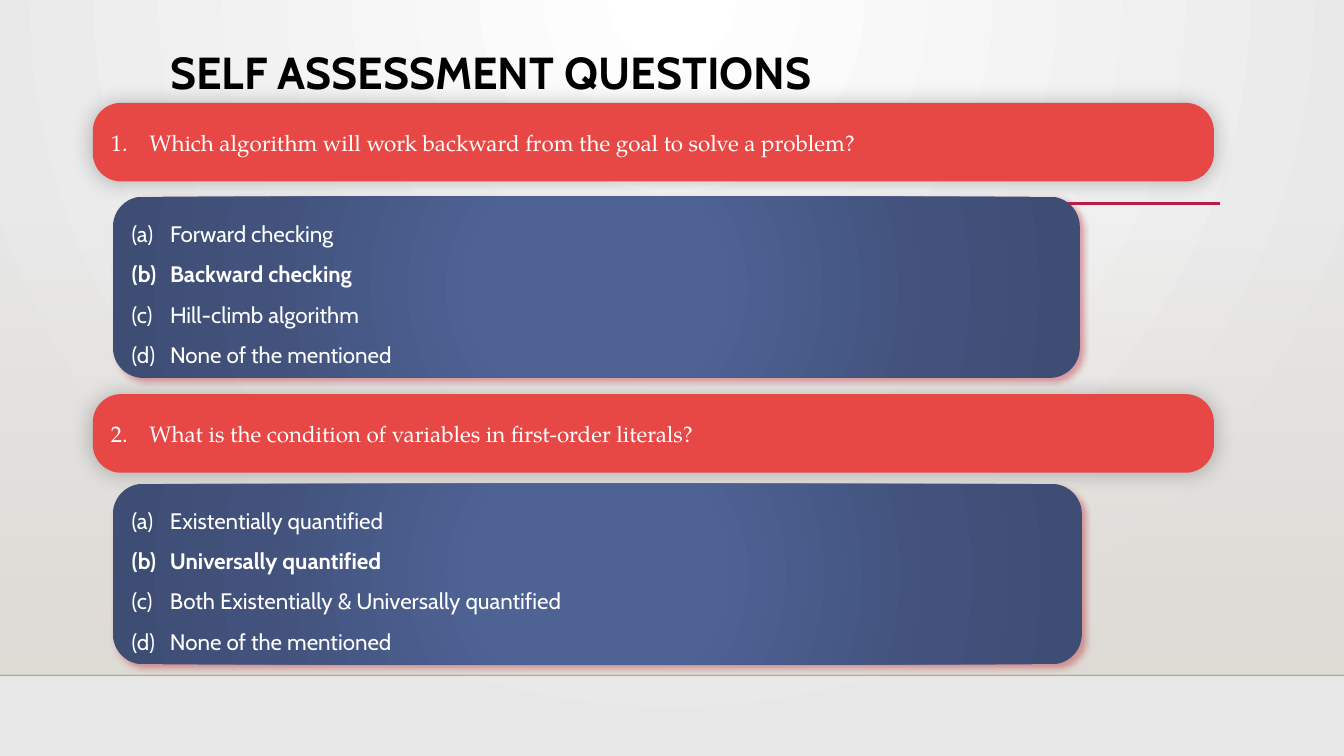
from dataclasses import dataclass

from pptx import Presentation
from pptx.dml.color import RGBColor
from pptx.enum.shapes import MSO_CONNECTOR, MSO_SHAPE
from pptx.enum.text import MSO_ANCHOR, MSO_AUTO_SIZE, PP_ALIGN
from pptx.oxml import parse_xml
from pptx.oxml.ns import nsdecls, qn
from pptx.util import Pt

PX = 9144  # 100 px to the inch
SLIDE_WIDTH, SLIDE_HEIGHT = 1333, 750
TITLE_ONLY = 5
STRAIGHT = MSO_CONNECTOR.STRAIGHT
RECTANGLE, ROUNDED = MSO_SHAPE.RECTANGLE, MSO_SHAPE.ROUNDED_RECTANGLE
TOP, MIDDLE, LEFT = MSO_ANCHOR.TOP, MSO_ANCHOR.MIDDLE, PP_ALIGN.LEFT
SANS, SERIF = "Cabin", "TeX Gyre Pagella"
COLORS = {
    "white": "FFFFFF", "black": "000000", "edge": "E7E7E7", "floor": "DFDBD5",
    "divider": "000001", "accent": "B71E42", "question": "E84845", "glow": "BA2532",
    "option_light": "4E6294", "option_mid": "42527C", "option_dark": "3E4D74",
}


@dataclass(frozen=True)
class Box:
    left: int
    top: int
    width: int
    height: int

    def emu(self) -> tuple[int, ...]:
        return tuple(value * PX for value in (self.left, self.top, self.width, self.height))


@dataclass(frozen=True)
class Stop:
    position: int
    color: str
    alpha: int = 100


@dataclass(frozen=True)
class Shadow:
    color: str
    alpha: int
    blur: int
    distance: int
    angle: int


@dataclass(frozen=True)
class Question:
    text: str
    box: Box
    options: tuple[str, ...]
    options_box: Box
    answer: int


QUESTION_SHADOW = Shadow("black", 25, 15, 0, 0)
OPTIONS_SHADOW = Shadow("glow", 40, 4, 3, 45)
OPTIONS_STOPS = [Stop(0, "option_light"), Stop(23, "option_light"),
                 Stop(69, "option_mid"), Stop(97, "option_dark")]
QUESTIONS = [
    Question("Which algorithm will work backward from the goal to solve a problem?",
             Box(92, 102, 1112, 78),
             ("Forward checking", "Backward checking", "Hill-climb algorithm",
              "None of the mentioned"),
             Box(112, 195, 959, 180), answer=1),
    Question("What is the condition of variables in first-order literals?",
             Box(92, 391, 1112, 78),
             ("Existentially quantified", "Universally quantified",
              "Both Existentially & Universally quantified", "None of the mentioned"),
             Box(112, 480, 961, 179), answer=1),
]


def rgb(name: str) -> RGBColor:
    return RGBColor.from_string(COLORS[name])


def color_xml(name: str, alpha: int) -> str:
    return f'<a:srgbClr val="{COLORS[name]}"><a:alpha val="{alpha * 1000}"/></a:srgbClr>'


def circle_xml(left: int, top: int, right: int, bottom: int) -> str:
    return (f'<a:path path="circle"><a:fillToRect l="{left * 1000}" t="{top * 1000}" '
            f'r="{right * 1000}" b="{bottom * 1000}"/></a:path>')


def set_gradient(properties, stops: list[Stop], direction: str) -> None:
    """Put a gradient in place of the noFill child of a properties element."""
    stops_xml = "".join(f'<a:gs pos="{stop.position * 1000}">{color_xml(stop.color, stop.alpha)}</a:gs>'
                        for stop in stops)
    gradient = parse_xml(f'<a:gradFill {nsdecls("a")} rotWithShape="1">'
                         f'<a:gsLst>{stops_xml}</a:gsLst>{direction}</a:gradFill>')
    properties.replace(properties.find(qn("a:noFill")), gradient)


def add_panel(slide, kind, box: Box, shadow: Shadow | None = None):
    """Add an unfilled, unlined shape with an optional outer shadow."""
    shape = slide.shapes.add_shape(kind, *box.emu())
    shape.fill.background()
    shape.line.fill.background()
    shape.shadow.inherit = False
    if shadow:
        effects = shape.element.spPr.find(qn("a:effectLst"))
        effects.append(parse_xml(
            f'<a:outerShdw {nsdecls("a")} blurRad="{Pt(shadow.blur)}" dist="{Pt(shadow.distance)}" '
            f'dir="{shadow.angle * 60000}" algn="ctr" rotWithShape="0">'
            f'{color_xml(shadow.color, shadow.alpha)}</a:outerShdw>'))
    return shape


def add_rule(slide, left: int, right: int, y: int, color: str, width: float, alpha: int = 100) -> None:
    rule = slide.shapes.add_connector(STRAIGHT, left * PX, y * PX, right * PX, y * PX)
    rule.line.width = Pt(width)
    rule.line.color.rgb = rgb(color)
    properties = rule.element.spPr
    solid = properties.find(qn("a:ln")).find(qn("a:solidFill"))
    solid[0].append(parse_xml(f'<a:alpha {nsdecls("a")} val="{alpha * 1000}"/>'))
    properties.append(parse_xml(f'<a:effectLst {nsdecls("a")}/>'))


def write_text(paragraph, text: str, *, font: str, size: int, color: str = "white", bold: bool = False,
               numbering: str = "", start: int = 1, line_spacing: float = 1.0) -> None:
    paragraph.alignment = LEFT
    if numbering:
        properties = paragraph._p.get_or_add_pPr()
        properties.set("marL", str(38 * PX))
        properties.set("indent", str(-38 * PX))
        properties.append(parse_xml(f'<a:buFont {nsdecls("a")} typeface="+mj-lt"/>'))
        properties.append(parse_xml(f'<a:buAutoNum {nsdecls("a")} type="{numbering}" startAt="{start}"/>'))
    paragraph.line_spacing = line_spacing
    run = paragraph.add_run()
    run.text = text
    run.font.name = font
    run.font.size = Pt(size)
    run.font.bold = bold
    run.font.color.rgb = rgb(color)


def add_question(slide, number: int, question: Question) -> None:
    card = add_panel(slide, ROUNDED, question.box, QUESTION_SHADOW)
    card.adjustments[0] = 0.36
    card.fill.solid()
    card.fill.fore_color.rgb = rgb("question")
    card.text_frame.vertical_anchor = MIDDLE
    write_text(card.text_frame.paragraphs[0], question.text, font=SERIF, size=16,
               numbering="arabicPeriod", start=number)

    card = add_panel(slide, ROUNDED, question.options_box, OPTIONS_SHADOW)
    set_gradient(card.element.spPr, OPTIONS_STOPS, circle_xml(50, 50, 50, 50))
    frame = card.text_frame
    frame.vertical_anchor = MIDDLE
    for index, option in enumerate(question.options):
        paragraph = frame.add_paragraph() if index else frame.paragraphs[0]
        write_text(paragraph, option, font=SANS, size=16, bold=index == question.answer,
                   numbering="alphaLcParenBoth", line_spacing=1.5)


def add_title(slide, text: str, box: Box) -> None:
    title = slide.shapes.title
    title.left, title.top, title.width, title.height = box.emu()
    frame = title.text_frame
    frame.word_wrap = True
    frame.auto_size = MSO_AUTO_SIZE.NONE
    frame.vertical_anchor = TOP
    write_text(frame.paragraphs[0], text, font=SANS, size=32, color="black", bold=True)


def add_backdrop(slide) -> None:
    slide.background.fill.background()
    set_gradient(slide.element.find(".//" + qn("p:bgPr")),
                 [Stop(0, "white"), Stop(100, "edge")], circle_xml(43, 0, 43, 100))
    floor = add_panel(slide, RECTANGLE, Box(0, 221, SLIDE_WIDTH, 449))
    set_gradient(floor.element.spPr, [Stop(0, "floor", 0), Stop(100, "floor")],
                 '<a:lin ang="5400000" scaled="0"/>')
    add_rule(slide, 0, SLIDE_WIDTH, 670, "divider", 1, alpha=20)
    add_rule(slide, 159, 1210, 202, "accent", 2.5)


def main() -> None:
    presentation = Presentation()
    presentation.slide_width = SLIDE_WIDTH * PX
    presentation.slide_height = SLIDE_HEIGHT * PX
    slide = presentation.slides.add_slide(presentation.slide_layouts[TITLE_ONLY])
    add_backdrop(slide)
    for number, question in enumerate(QUESTIONS, start=1):
        add_question(slide, number, question)
    add_title(slide, "SELF ASSESSMENT QUESTIONS", Box(159, 39, 749, 64))
    presentation.save("out.pptx")


if __name__ == "__main__":
    main()
